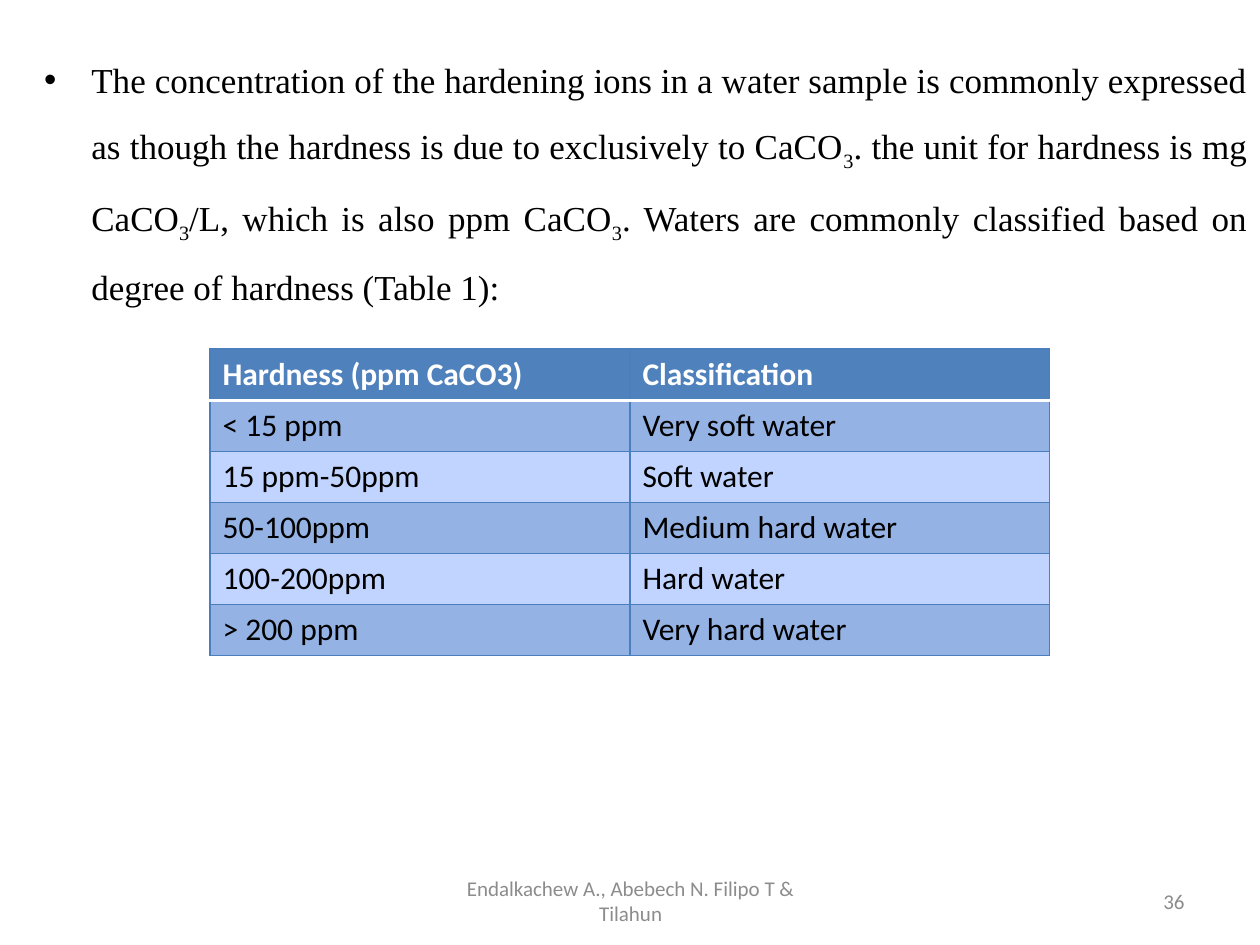
from pptx import Presentation
from pptx.dml.color import RGBColor
from pptx.enum.text import MSO_ANCHOR, PP_ALIGN
from pptx.oxml import parse_xml
from pptx.oxml.ns import nsdecls
from pptx.util import Inches, Pt

BODY = [
    ("The concentration of the hardening ions in a water sample is commonly expressed "
     "as though the hardness is due to exclusively to CaCO", False),
    ("3", True),
    (". the unit for hardness is mg CaCO", False),
    ("3", True),
    ("/L, which is also ppm CaCO", False),
    ("3", True),
    (". Waters are commonly classified based on degree of hardness (Table 1):", False),
]
ROWS = [
    ("Hardness (ppm CaCO3)", "Classification"),
    ("< 15 ppm", "Very soft water"),
    ("15 ppm-50ppm", "Soft water"),
    ("50-100ppm", "Medium hard water"),
    ("100-200ppm", "Hard water"),
    ("> 200 ppm", "Very hard water"),
]
FOOT = [
    ("Endalkachew A., Abebech N. Filipo T & Tilahun", 3.42, 3.17, PP_ALIGN.CENTER),
    ("36", 7.17, 2.33, PP_ALIGN.RIGHT),
]
HEAD, BANDS, EDGE = "4F81BD", ("C0D4FF", "94B2E4"), "4B7EBC"
WIDE, HIGH = 10, 7.5


def style(font, size, color, name="Calibri", bold=False):
    font.size, font.name, font.bold = Pt(size), name, bold
    font.color.rgb = RGBColor.from_string(color)


def place(shape, *box):
    shape.left, shape.top, shape.width, shape.height = map(Inches, box)


def border(cell, side, color, width):
    return parse_xml(
        f'<a:ln{side} {nsdecls("a")} w="{Pt(width)}"><a:solidFill>'
        f'<a:srgbClr val="{color}"/></a:solidFill></a:ln{side}>')


def add_body(slide):
    body = slide.placeholders[1]
    place(body, 0.25, 0.25, WIDE - 0.25, HIGH - 0.25)
    para = body.text_frame.paragraphs[0]
    para.alignment = PP_ALIGN.JUSTIFY
    para.line_spacing, para.space_before = 1.5, Pt(0)
    for text, sub in BODY:
        run = para.add_run()
        run.text = text
        style(run.font, 20, "000000", "Times New Roman")
        if sub:
            run.font._element.set("baseline", "-25000")


def add_grid(slide):
    wide, high = WIDE * 2 / 3, 0.4 * len(ROWS)
    grid = slide.shapes.add_table(
        len(ROWS), 2, Inches((WIDE - wide) / 2), Inches(2.77),
        Inches(wide), Inches(high)).table
    for r, row in enumerate(ROWS):
        for c, text in enumerate(row):
            cell = grid.cell(r, c)
            cell.text = text
            head = r == 0
            font = cell.text_frame.paragraphs[0].runs[0].font
            style(font, 18, "FFFFFF" if head else "000000", bold=head)
            props = cell._tc.get_or_add_tcPr()
            for side in "LRTB":
                rule = (side, r) in (("B", 0), ("T", 1))
                props.append(border(cell, side, *(("FFFFFF", 2) if rule else (EDGE, 0.75))))
            cell.fill.solid()
            cell.fill.fore_color.rgb = RGBColor.from_string(HEAD if head else BANDS[r % 2])


def add_foot(slide):
    for text, left, wide, align in FOOT:
        box = slide.shapes.add_textbox(*map(Inches, (left, 6.95, wide, 0.4)))
        frame = box.text_frame
        frame.word_wrap, frame.vertical_anchor = True, MSO_ANCHOR.MIDDLE
        frame.text = text
        para = frame.paragraphs[0]
        para.alignment = align
        style(para.runs[0].font, 12, "8C8C8C")


def main():
    """Build the water hardness slide."""
    deck = Presentation()
    deck.slide_width, deck.slide_height = Inches(WIDE), Inches(HIGH)
    slide = deck.slides.add_slide(deck.slide_layouts[1])
    title = slide.shapes.title.element
    title.getparent().remove(title)
    add_body(slide)
    add_grid(slide)
    add_foot(slide)
    deck.save("out.pptx")


if __name__ == "__main__":
    main()
